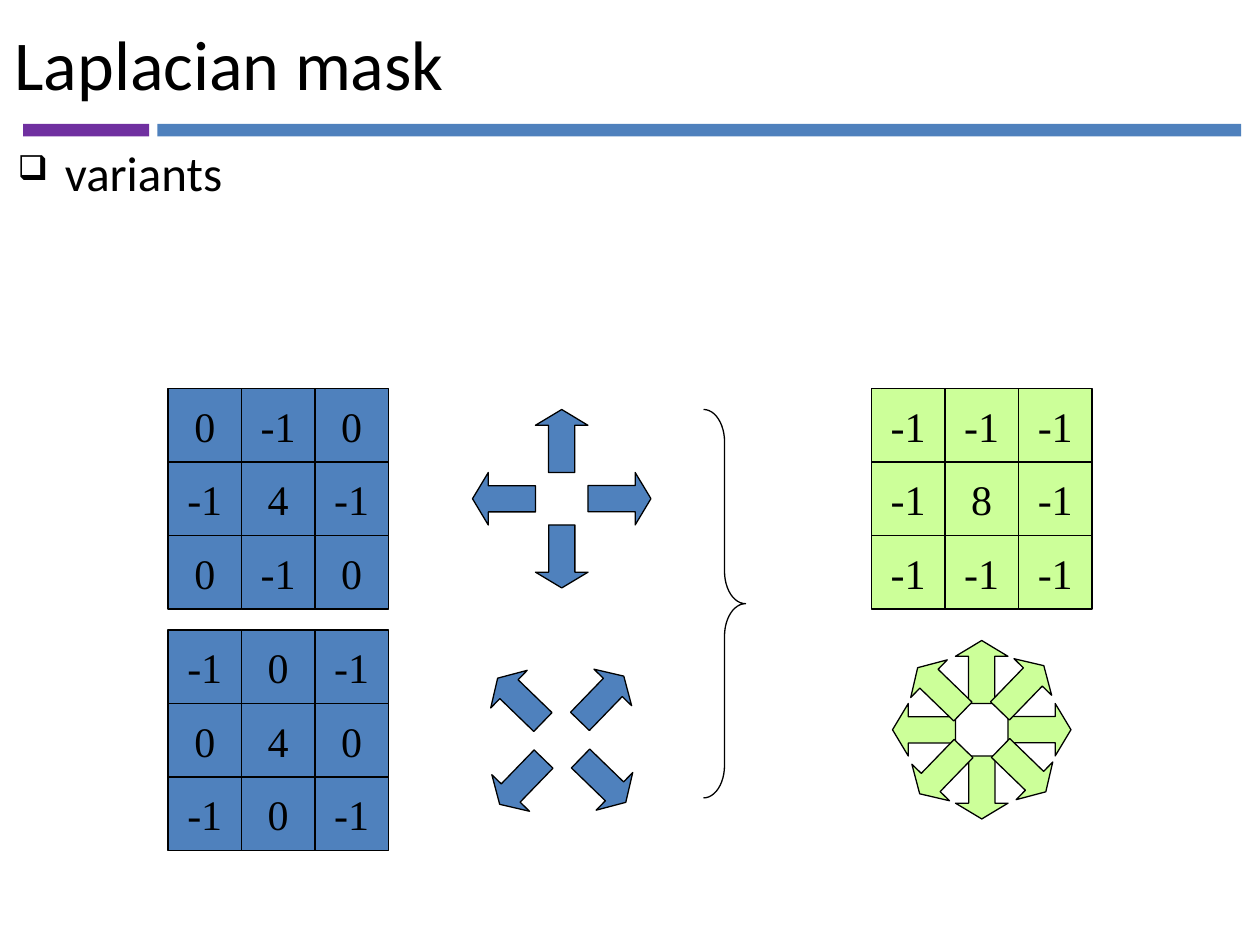
from dataclasses import dataclass
from math import cos, radians, sin

from lxml.etree import SubElement
from pptx import Presentation
from pptx.dml.color import RGBColor
from pptx.enum.shapes import MSO_SHAPE as Shape
from pptx.enum.text import MSO_ANCHOR as Anchor, PP_ALIGN as Align
from pptx.oxml.ns import qn
from pptx.util import Pt

PX = 7620  # EMU per px, 120 px to the inch


@dataclass(frozen=True)
class Theme:
    blue: str = "4F81BD"
    green: str = "CCFF99"
    purple: str = "7030A0"
    ink: str = "000000"
    heading_font: str = "Calibri"
    number_font: str = "Times New Roman"
    title_size: int = 40
    body_size: int = 28
    number_size: int = 24
    line_width: float = 0.75


THEME = Theme()
CELL = 70
ARROW_WIDTH, ARROW_HEIGHT, ARROW_RADIUS = 60, 50, 55
STRAIGHT = (0, 180, 90, 270)
DIAGONAL = (44.1, 224.1, 134.1, 314.1)

CROSS_MASK = ((0, -1, 0), (-1, 4, -1), (0, -1, 0))
DIAGONAL_MASK = ((-1, 0, -1), (0, 4, 0), (-1, 0, -1))
FULL_MASK = ((-1, -1, -1), (-1, 8, -1), (-1, -1, -1))


def emu(*lengths):
    return [round(length * PX) for length in lengths]


def add_box(shapes, kind, box, fill=None, outlined=True):
    shape = shapes.add_shape(kind, *emu(*box))
    shape.shadow.inherit = False
    if fill:
        shape.fill.solid()
        shape.fill.fore_color.rgb = RGBColor.from_string(fill)
    else:
        shape.fill.background()
    if outlined:
        shape.line.color.rgb = RGBColor.from_string(THEME.ink)
        shape.line.width = Pt(THEME.line_width)
    else:
        shape.line.fill.background()
    return shape


def write(shape, text, *, size, font, align=Align.LEFT, anchor=Anchor.TOP,
          wrap=True, bullet=None):
    frame = shape.text_frame
    frame.word_wrap = wrap
    frame.vertical_anchor = anchor
    para = frame.paragraphs[0]
    para.alignment = align
    if bullet:
        add_bullet(para, bullet)
    span = para.add_run()
    span.text = text
    span.font.size = Pt(size)
    span.font.name = font
    span.font.color.rgb = RGBColor.from_string(THEME.ink)


def add_bullet(para, symbol, indent=45, percent=70):
    props = para._p.get_or_add_pPr()
    hang, = emu(indent)
    props.set("marL", str(hang))
    props.set("indent", str(-hang))
    SubElement(props, qn("a:buSzPct"), val=str(percent * 1000))
    SubElement(props, qn("a:buChar"), char=symbol)


def add_header(page, left, top):
    for x, width, color in ((150, 1032, THEME.blue), (22, 120, THEME.purple)):
        add_box(page.shapes, Shape.RECTANGLE,
                (left + x, top + 118, width, 12), color, outlined=False)
    title = page.shapes.add_textbox(*emu(left + 2, top - 1, 1198, 121))
    write(title, "Laplacian mask", size=THEME.title_size,
          font=THEME.heading_font, anchor=Anchor.MIDDLE)


def add_body(page, box):
    body = page.shapes.add_textbox(*emu(*box))
    write(body, "variants", size=THEME.body_size, font=THEME.heading_font,
          bullet="❑")


def add_mask(page, left, top, rows, fill):
    group = page.shapes.add_group_shape()
    for row, values in enumerate(rows):
        for column, value in enumerate(values):
            box = (left + column * CELL, top + row * CELL, CELL, CELL)
            cell = add_box(group.shapes, Shape.RECTANGLE, box, fill)
            write(cell, str(value), size=THEME.number_size,
                  font=THEME.number_font, align=Align.CENTER,
                  anchor=Anchor.MIDDLE, wrap=False)


def add_arrows(page, center_x, center_y, angles, fill):
    """Place arrows that point outwards from a centre at the given angles."""
    group = page.shapes.add_group_shape()
    for angle in angles:
        x = center_x + ARROW_RADIUS * cos(radians(angle))
        y = center_y + ARROW_RADIUS * sin(radians(angle))
        box = (x - ARROW_WIDTH / 2, y - ARROW_HEIGHT / 2,
               ARROW_WIDTH, ARROW_HEIGHT)
        arrow = add_box(group.shapes, Shape.RIGHT_ARROW, box, fill)
        arrow.adjustments[0] = 0.5
        arrow.adjustments[1] = 0.3
        arrow.rotation = angle


def add_brace(page, box):
    brace = add_box(page.shapes, Shape.RIGHT_BRACE, box)
    brace.adjustments[0] = 0.77
    brace.adjustments[1] = 0.5


def main():
    deck = Presentation()
    deck.slide_width, deck.slide_height = emu(1200, 900)
    page = deck.slides.add_slide(deck.slide_layouts[6])

    add_header(page, 0, 0)
    add_body(page, (5, 130, 1190, 740))
    add_mask(page, 160, 370, CROSS_MASK, THEME.blue)
    add_arrows(page, 535, 475, STRAIGHT, THEME.blue)
    add_arrows(page, 535, 705, DIAGONAL, THEME.blue)
    add_mask(page, 160, 600, DIAGONAL_MASK, THEME.blue)
    add_brace(page, (670, 390, 40, 370))
    add_mask(page, 830, 370, FULL_MASK, THEME.green)
    for angles in (STRAIGHT, DIAGONAL):
        add_arrows(page, 935, 695, angles, THEME.green)

    deck.save("out.pptx")


if __name__ == "__main__":
    main()
